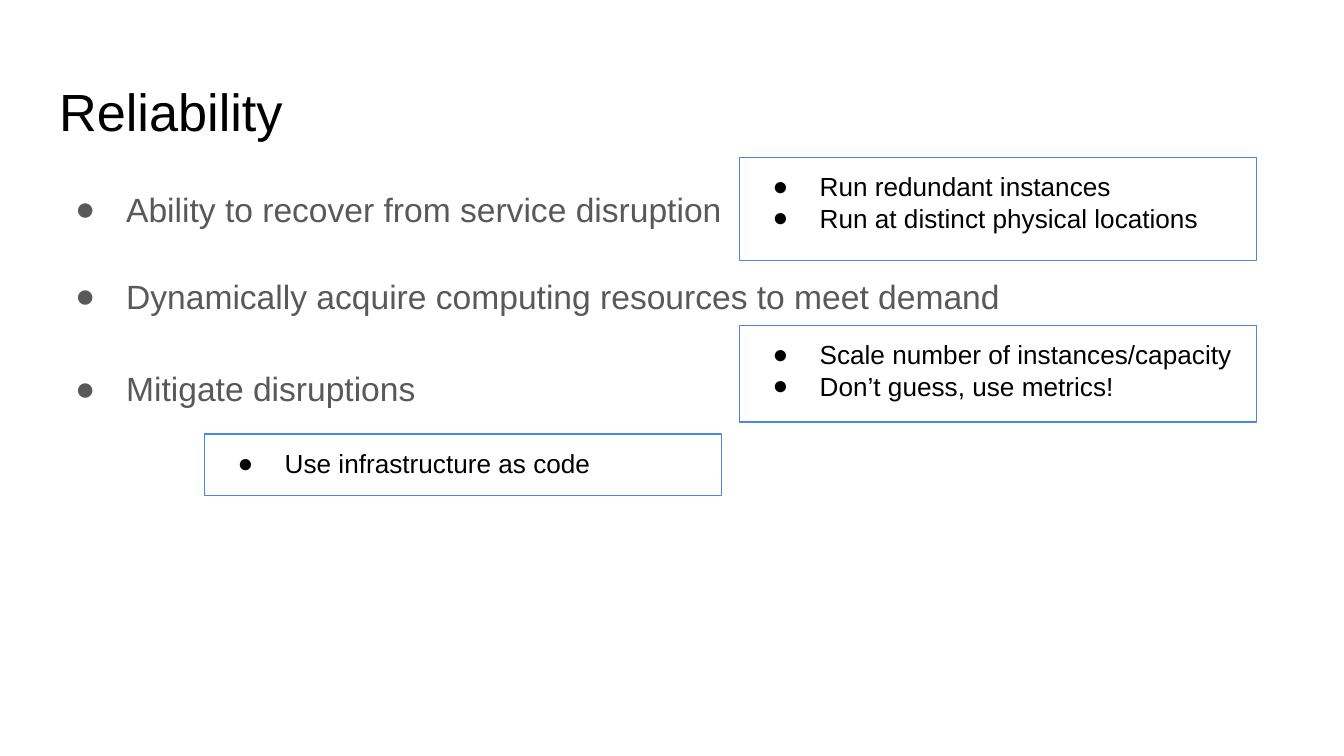
from lxml import etree
from pptx import Presentation
from pptx.dml.color import RGBColor
from pptx.enum.shapes import MSO_SHAPE
from pptx.enum.text import MSO_ANCHOR, MSO_AUTO_SIZE, PP_ALIGN
from pptx.oxml.ns import qn
from pptx.util import Inches, Pt

RECTANGLE = MSO_SHAPE.RECTANGLE
TOP = MSO_ANCHOR.TOP
NO_AUTOFIT = MSO_AUTO_SIZE.NONE
LEFT = PP_ALIGN.LEFT
FONT = "Arial"
COLORS = {"title": "000000", "practice": "000000", "goal": "595959",
          "border": "4A86E8", "background": "FFFFFF"}
GOALS = [
    ("Ability to recover from service disruption", 22),
    ("Dynamically acquire computing resources to meet demand", 24.5),
    ("Mitigate disruptions", 0),
]
PRACTICES = [
    (5.5, 1.17, 0.77, ["Run redundant instances",
                       "Run at distinct physical locations"]),
    (5.5, 2.42, 0.72, ["Scale number of instances/capacity",
                       "Don’t guess, use metrics!"]),
    (1.52, 3.23, 0.46, ["Use infrastructure as code"]),
]


def rgb(name):
    return RGBColor.from_string(COLORS[name])


def add_bullet(paragraph, hanging, color):
    properties = paragraph._p.get_or_add_pPr()
    properties.set("marL", str(Inches(0.5)))
    properties.set("indent", str(-Inches(hanging)))
    bullet_color = etree.SubElement(properties, qn("a:buClr"))
    etree.SubElement(bullet_color, qn("a:srgbClr"), val=COLORS[color])
    etree.SubElement(properties, qn("a:buFont"), typeface=FONT)
    etree.SubElement(properties, qn("a:buChar"), char="●")


def write_text(frame, lines, size, color, hanging=None, spacing=1, gaps=()):
    frame.word_wrap = True
    frame.auto_size = NO_AUTOFIT
    frame.vertical_anchor = TOP
    frame.margin_left = frame.margin_right = Inches(0.1)
    frame.margin_top = frame.margin_bottom = Inches(0.1)
    for index, line in enumerate(lines):
        paragraph = frame.paragraphs[0] if index == 0 else frame.add_paragraph()
        paragraph.alignment = LEFT
        paragraph.line_spacing = spacing
        paragraph.space_before = Pt(0)
        paragraph.space_after = Pt(gaps[index] if gaps else 0)
        if hanging:
            add_bullet(paragraph, hanging, color)
        run = paragraph.add_run()
        run.text = line
        run.font.name = FONT
        run.font.size = Pt(size)
        run.font.color.rgb = rgb(color)


def add_title(slide, text):
    title = slide.shapes.title
    title.left, title.top = Inches(0.34), Inches(0.49)
    title.width, title.height = Inches(9.32), Inches(0.63)
    write_text(title.text_frame, [text], size=28, color="title")


def add_goals(slide):
    goals = slide.shapes.add_textbox(
        Inches(0.34), Inches(1.26), Inches(9.32), Inches(3.74))
    lines, gaps = zip(*GOALS)
    write_text(goals.text_frame, lines, size=18, color="goal",
               hanging=0.38, spacing=1.15, gaps=gaps)


def add_practice_box(slide, left, top, height, lines):
    box = slide.shapes.add_shape(
        RECTANGLE, Inches(left), Inches(top), Inches(3.85), Inches(height))
    box.shadow.inherit = False
    box.fill.background()
    box.line.color.rgb = rgb("border")
    box.line.width = Pt(0.75)
    write_text(box.text_frame, lines, size=14, color="practice", hanging=0.35)


def main():
    deck = Presentation()
    deck.slide_width = Inches(10)
    deck.slide_height = deck.slide_width * 9 // 16
    slide = deck.slides.add_slide(deck.slide_layouts[5])
    slide.background.fill.solid()
    slide.background.fill.fore_color.rgb = rgb("background")
    add_title(slide, "Reliability")
    add_goals(slide)
    for left, top, height, lines in PRACTICES:
        add_practice_box(slide, left, top, height, lines)
    deck.save("out.pptx")


main()
